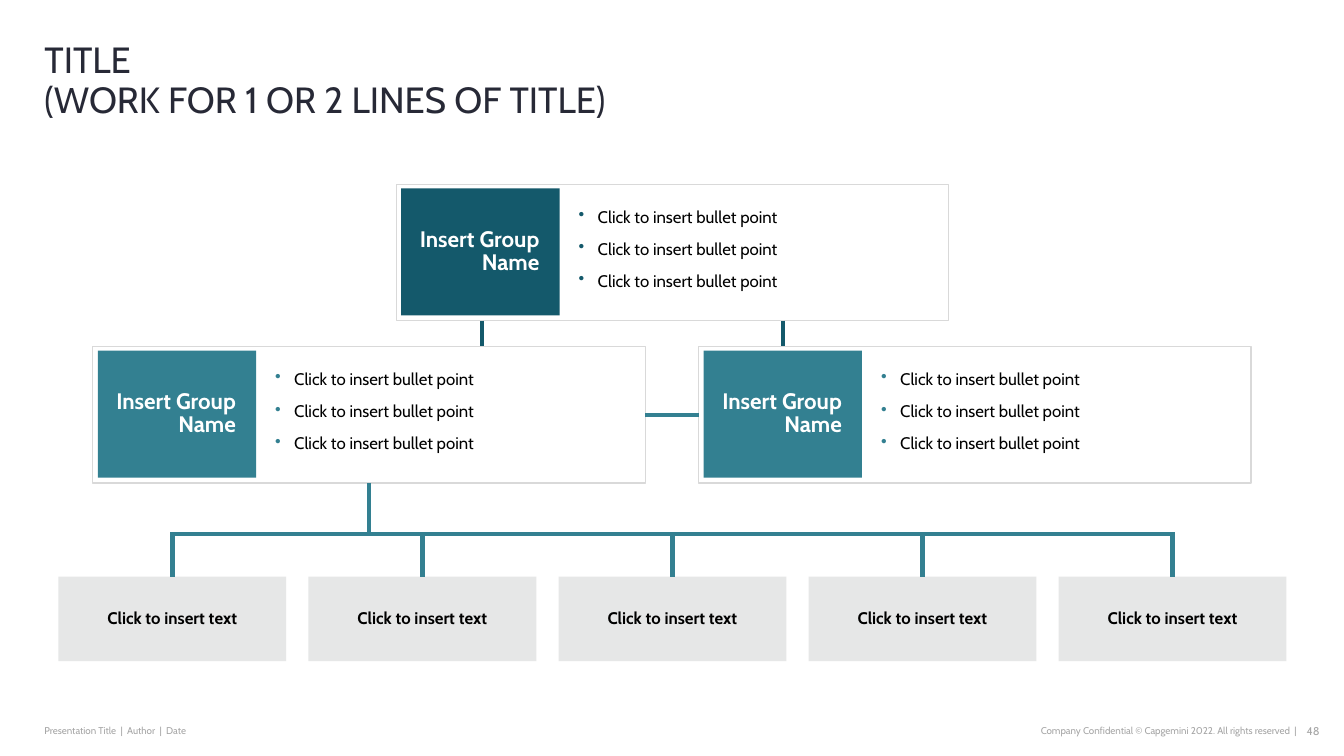
"""Builds an organisation chart slide with three group cards and five boxes."""
from lxml.etree import SubElement
from pptx import Presentation
from pptx.dml.color import RGBColor
from pptx.enum.shapes import MSO_CONNECTOR, MSO_SHAPE
from pptx.enum.text import MSO_ANCHOR, MSO_AUTO_SIZE, PP_ALIGN
from pptx.oxml.ns import qn
from pptx.util import Inches, Pt

FONT = "Cabin"
DARK = RGBColor(0x14, 0x59, 0x6B)
TEAL = RGBColor(0x33, 0x80, 0x91)
INK = RGBColor(0x27, 0x29, 0x36)
EDGE = RGBColor(0xD9, 0xD9, 0xD9)
PALE = RGBColor(0xE6, 0xE7, 0xE7)
GREY = RGBColor(0xA6, 0xA6, 0xA6)
BLACK = RGBColor(0, 0, 0)
WHITE = RGBColor(255, 255, 255)
BUS = 5.3


def style(frame, size, color, bold=False, align=PP_ALIGN.LEFT, spacing=None):
    for para in frame.paragraphs:
        para.alignment = align
        para.line_spacing = spacing
        for run in para.runs:
            font = run.font
            font.name, font.size, font.bold = FONT, Pt(size), bold
            font.color.rgb = color


def inset(frame, left, top, right, bottom):
    frame.margin_left, frame.margin_top = Inches(left), Inches(top)
    frame.margin_right, frame.margin_bottom = Inches(right), Inches(bottom)


def add_title(slide, text):
    title = slide.shapes.title
    title.left, title.top = Inches(0.44), Inches(0.42)
    title.width, title.height = Inches(11.97), Inches(0.78)
    frame = title.text_frame
    frame.text = text
    frame.auto_size = MSO_AUTO_SIZE.NONE
    frame.vertical_anchor = MSO_ANCHOR.BOTTOM
    inset(frame, 0, 0, 0, 0)
    style(frame, 26, INK, spacing=0.9)


def add_text(slide, x, y, w, h, text):
    box = slide.shapes.add_textbox(Inches(x), Inches(y), Inches(w), Inches(h))
    frame = box.text_frame
    frame.word_wrap = True
    frame.text = text
    return frame


def add_note(slide, x, w, text, size=7, align=PP_ALIGN.LEFT):
    frame = add_text(slide, x, 7.13, w, 0.24, text)
    frame.vertical_anchor = MSO_ANCHOR.MIDDLE
    inset(frame, 0, 0, 0, 0)
    style(frame, size, GREY, align=align)


def add_box(slide, x, y, w, h, fill=None, line=None):
    box = slide.shapes.add_shape(MSO_SHAPE.RECTANGLE, Inches(x), Inches(y), Inches(w), Inches(h))
    box.shadow.inherit = False
    if fill is None:
        box.fill.background()
    else:
        box.fill.solid()
        box.fill.fore_color.rgb = fill
    if line is None:
        box.line.fill.background()
    else:
        box.line.color.rgb = line
        box.line.width = Pt(1)
    box.text_frame.vertical_anchor = MSO_ANCHOR.MIDDLE
    return box


def add_points(slide, x, y, points, color):
    frame = add_text(slide, x, y, 3.63, 0.96, "\n".join(points))
    for index, para in enumerate(frame.paragraphs):
        props = para._p.get_or_add_pPr()
        props.set("marL", str(Inches(0.19)))
        props.set("indent", str(-Inches(0.19)))
        tint = SubElement(props, qn("a:buClr"))
        SubElement(tint, qn("a:srgbClr")).set("val", str(color))
        SubElement(props, qn("a:buChar")).set("char", "•")
        if index:
            para.space_before = Pt(10)
    style(frame, 12, BLACK, spacing=0.9)


def add_card(slide, x, y, color):
    card = add_box(slide, x, y, 5.48, 1.35, line=EDGE)
    label = add_box(slide, x + 0.05, y + 0.04, 1.57, 1.26, color).text_frame
    label.text = "Insert Group Name"
    inset(label, 0.1, 0.05, 0.2, 0.05)
    style(label, 16, WHITE, True, PP_ALIGN.RIGHT, 0.85)
    add_points(slide, x + 1.71, y + 0.19, ["Click to insert bullet point"] * 3, color)
    return card


def add_line(slide, x1, y1, x2, y2, color):
    line = slide.shapes.add_connector(
        MSO_CONNECTOR.STRAIGHT, Inches(x1), Inches(y1), Inches(x2), Inches(y2))
    line.line.color.rgb = color
    line.line.width = Pt(3)
    SubElement(line._element.spPr, qn("a:effectLst"))
    return line


def add_leaf(slide, x):
    leaf = add_box(slide, x, 5.72, 2.26, 0.84, PALE)
    leaf.text_frame.text = "Click to insert text"
    style(leaf.text_frame, 12, BLACK, True, PP_ALIGN.CENTER, 0.85)
    mid = x + 1.13
    add_line(slide, mid, BUS, mid, 5.72, TEAL).end_connect(leaf, 0)


def main():
    deck = Presentation()
    deck.slide_width, deck.slide_height = Inches(13.33), Inches(7.5)
    slide = deck.slides.add_slide(deck.slide_layouts[5])
    add_title(slide, "TITLE\v(WORK FOR 1 OR 2 LINES OF TITLE)")

    add_card(slide, 3.93, 1.83, DARK)
    left = add_card(slide, 0.92, 3.44, TEAL)
    right = add_card(slide, 6.93, 3.44, TEAL)
    for x in (4.78, 7.77):
        add_line(slide, x, 3.18, x, 3.43, DARK)
    bridge = add_line(slide, 6.4, 4.11, 6.93, 4.11, TEAL)
    bridge.begin_connect(left, 3)
    bridge.end_connect(right, 1)

    add_line(slide, 3.66, 4.79, 3.66, BUS, TEAL).begin_connect(left, 2)
    add_line(slide, 1.69, BUS, 11.65, BUS, TEAL)
    for index in range(5):
        add_leaf(slide, 0.58 + 2.48 * index)

    add_note(slide, 0.44, 3.73, "Presentation Title  |  Author  |  Date")
    add_note(slide, 7.9, 4.96, "Company Confidential © Capgemini 2022. All rights reserved  |",
             align=PP_ALIGN.RIGHT)
    add_note(slide, 12.84, 0.25, "48", 8, PP_ALIGN.RIGHT)
    deck.save("out.pptx")


if __name__ == "__main__":
    main()
